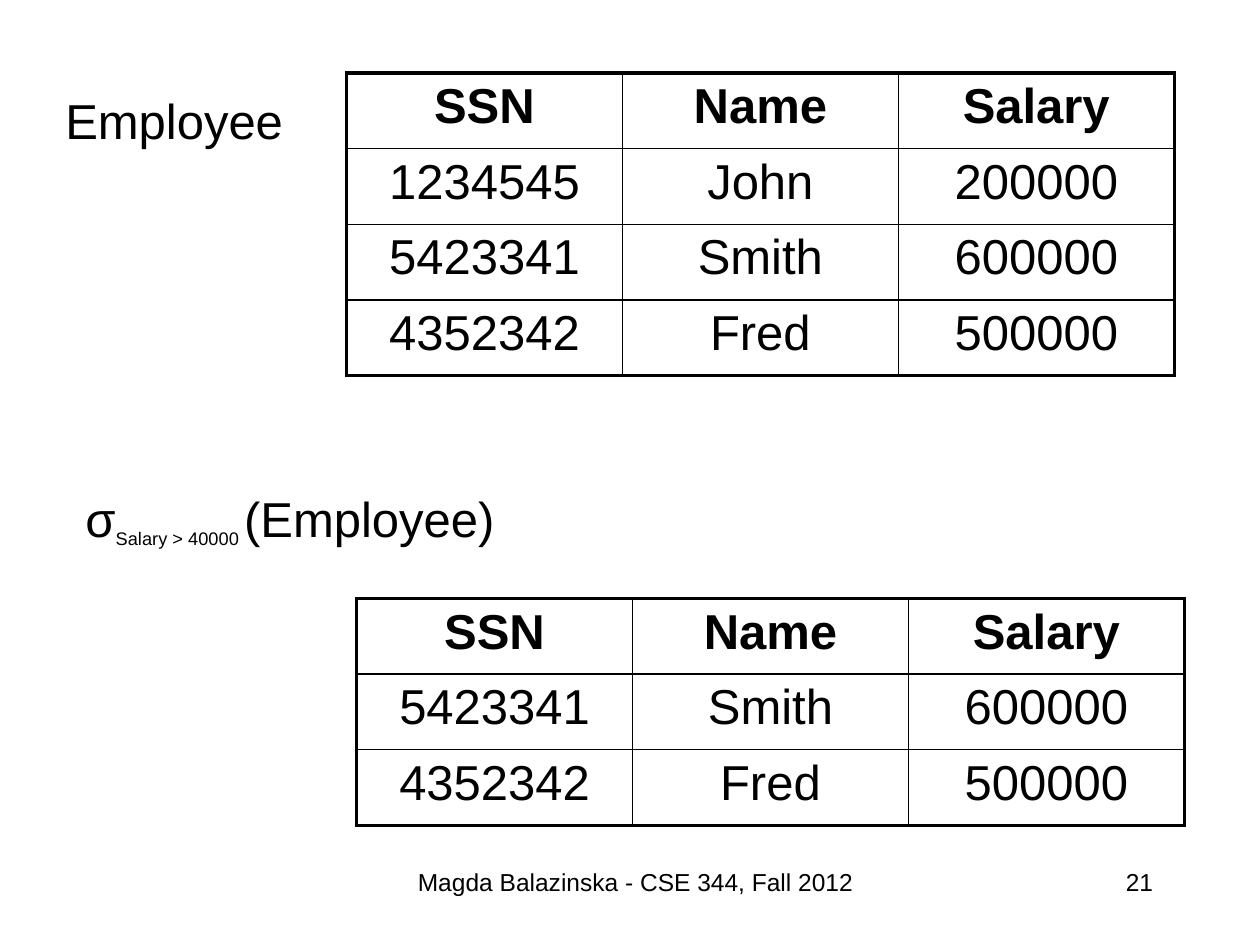
from lxml.etree import SubElement
from pptx import Presentation
from pptx.dml.color import RGBColor
from pptx.enum.text import MSO_AUTO_SIZE, PP_ALIGN
from pptx.oxml.ns import qn
from pptx.util import Inches, Pt

COLORS = {"ink": "000000"}
THICK, THIN = 2.25, 1
COL, ROW = 2.19, 0.6

deck = Presentation()
deck.slide_width, deck.slide_height = Inches(10), Inches(7.5)
slide = deck.slides.add_slide(deck.slide_layouts[6])


def add_run(para, text, size, bold=False):
    """Append a run in the slide font and return it."""
    run = para.add_run()
    run.text = text
    run.font.name = "Arial"
    run.font.size = Pt(size)
    run.font.bold = bold
    run.font.color.rgb = RGBColor.from_string(COLORS["ink"])
    return run


def set_edge(cell, side, width):
    """Draw one border of a cell; side is L, R, T or B."""
    line = SubElement(cell._tc.get_or_add_tcPr(), qn("a:ln" + side), w=str(Pt(width)))
    fill = SubElement(line, qn("a:solidFill"))
    SubElement(fill, qn("a:srgbClr"), val=COLORS["ink"])


# Labels and footer: place, wrap, alignment, runs of (text, size, baseline)
labels = [
    ((0.58, 3.83, 3.65, 0.57), False, PP_ALIGN.LEFT,
     [("σ", 28, 0), ("Salary > 40000 ", 18, -25000), ("(Employee)", 28, 0)]),
    ((0.42, 0.67, 1.95, 0.57), False, PP_ALIGN.LEFT, [("Employee", 28, 0)]),
    ((3.17, 6.83, 3.75, 0.5), True, PP_ALIGN.CENTER,
     [("Magda Balazinska - CSE 344, Fall 2012", 14, 0)]),
    ((7.17, 6.83, 2.08, 0.5), True, PP_ALIGN.RIGHT, [("21", 14, 0)]),
]
for place, wrap, align, runs in labels:
    frame = slide.shapes.add_textbox(*map(Inches, place)).text_frame
    frame.word_wrap = wrap
    frame.auto_size = MSO_AUTO_SIZE.NONE if wrap else MSO_AUTO_SIZE.SHAPE_TO_FIT_TEXT
    para = frame.paragraphs[0]
    para.alignment = align
    for text, size, base in runs:
        run = add_run(para, text, size)
        if base:
            run.font._element.set("baseline", str(base))

# The relation and the result of the selection
head = ("SSN", "Name", "Salary")
staff = [
    ("1234545", "John", "200000"),
    ("5423341", "Smith", "600000"),
    ("4352342", "Fred", "500000"),
]
for left, top, people in [(2.75, 0.58, staff), (2.83, 4.75, staff[1:])]:
    rows = [head, *people]
    last_row, last_col = len(rows) - 1, len(head) - 1
    table = slide.shapes.add_table(
        len(rows), len(head), Inches(left), Inches(top),
        Inches(COL * len(head)), Inches(ROW * len(rows))).table
    table.horz_banding = table.first_row = False
    for col in table.columns:
        col.width = Inches(COL)
    for r, row in enumerate(rows):
        table.rows[r].height = Inches(ROW)
        for c, text in enumerate(row):
            cell = table.cell(r, c)
            outer = {"L": c == 0, "R": c == last_col, "T": r == 0, "B": r == last_row}
            for side, edge in outer.items():
                set_edge(cell, side, THICK if edge else THIN)
            cell.fill.background()
            para = cell.text_frame.paragraphs[0]
            para.alignment = PP_ALIGN.CENTER
            add_run(para, text, 28, bold=r == 0)

deck.save("out.pptx")
